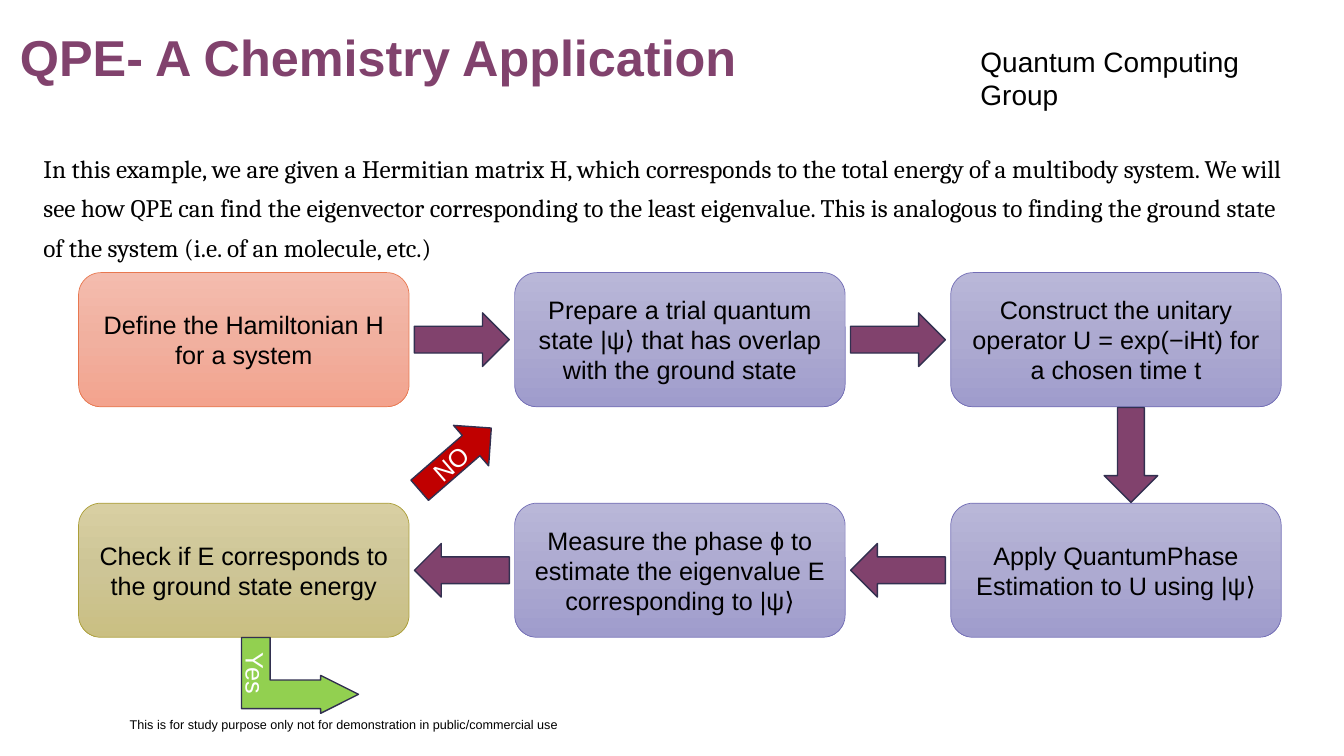
import copy
import pptx
import pptx.util
import pptx.dml.color
import pptx.enum.shapes
import pptx.enum.text
import pptx.oxml
import pptx.oxml.ns

Cm = pptx.util.Cm
Pt = pptx.util.Pt
SHAPE = pptx.enum.shapes.MSO_SHAPE
ALIGN = pptx.enum.text.PP_ALIGN
ANCHOR = pptx.enum.text.MSO_ANCHOR

TITLE = "QPE- A Chemistry Application"
INTRO = (
    "In this example, we are given a Hermitian matrix H, which corresponds to the total "
    "energy of a multibody system. We will see how QPE can find the eigenvector "
    "corresponding to the least eigenvalue. This is analogous to finding the ground state "
    "of the system (i.e. of an molecule, etc.)"
)
GROUP = "Quantum Computing Group"
DISCLAIMER = "This is for study purpose only not for demonstration in public/commercial use"

PLUM, NAVY, BLACK, WHITE = "81426D", "323050", "000000", "FFFFFF"
CORAL = (("F4BCAE", "F1B09F", "F3A38E"), "E87850")
VIOLET = (("B9B7D8", "ADAAD1", "9F9CCC"), "736EB6")
OLIVE = (("D8CFA2", "CDC596", "CABF82"), "AC9F39")

STEPS = [
    (0, 0, CORAL, "Define the Hamiltonian H for a system"),
    (1, 0, VIOLET, "Prepare a trial quantum state |ψ⟩ that has overlap with the ground state"),
    (2, 0, VIOLET, "Construct the unitary operator U = exp(−iHt) for a chosen time t"),
    (2, 1, VIOLET, "Apply QuantumPhase Estimation to U using |ψ⟩"),
    (1, 1, VIOLET, "Measure the phase ϕ to estimate the eigenvalue E corresponding to |ψ⟩"),
    (0, 1, OLIVE, "Check if E corresponds to the ground state energy"),
]

LEFT, COLUMN_PITCH = 1.98, 10.99
TOP, ROW_PITCH = 6.87, 5.81
STEP_WIDTH, STEP_HEIGHT = 8.33, 3.38
ARROW_WIDTH, ARROW_HEIGHT = 2.39, 1.35


def color(code):
    return pptx.dml.color.RGBColor.from_string(code)


def write(shape, text, size, ink=BLACK, font="Arial", bold=False,
          align=ALIGN.LEFT, anchor=ANCHOR.TOP):
    frame = shape.text_frame
    frame.word_wrap = True
    frame.auto_size = pptx.enum.text.MSO_AUTO_SIZE.NONE
    frame.vertical_anchor = anchor
    para = frame.paragraphs[0]
    para.alignment = align
    span = para.add_run()
    span.text = text
    span.font.size = Pt(size)
    span.font.name = font
    span.font.bold = bold
    span.font.color.rgb = color(ink)
    return para


def place(shape, left, top, width, height):
    shape.left, shape.top = Cm(left), Cm(top)
    shape.width, shape.height = Cm(width), Cm(height)


def add_outlined(page, kind, left, top, width, height, line, weight):
    shape = page.shapes.add_shape(kind, Cm(left), Cm(top), Cm(width), Cm(height))
    shape.shadow.inherit = False
    shape.line.color.rgb = color(line)
    shape.line.width = Pt(weight)
    return shape


def add_step(page, column, row, theme, text):
    tones, edge = theme
    box = add_outlined(page, SHAPE.ROUNDED_RECTANGLE, LEFT + column * COLUMN_PITCH,
                       TOP + row * ROW_PITCH, STEP_WIDTH, STEP_HEIGHT, edge, 0.5)
    box.fill.gradient()
    box.fill.gradient_angle = 270
    stop_list = box.element.spPr.find(".//" + pptx.oxml.ns.qn("a:gsLst"))
    stop_list.insert(1, copy.deepcopy(stop_list[0]))
    for stop, tone, position in zip(box.fill.gradient_stops, tones, (0, 0.5, 1)):
        stop.color.rgb = color(tone)
        stop.position = position
    write(box, text, 18, align=ALIGN.CENTER, anchor=ANCHOR.MIDDLE)


def add_arrow(page, center_x, center_y, rotation=0, fill=PLUM, text=None,
              kind=SHAPE.RIGHT_ARROW, width=ARROW_WIDTH, height=ARROW_HEIGHT):
    arrow = add_outlined(page, kind, center_x - width / 2, center_y - height / 2,
                         width, height, NAVY, 1)
    arrow.rotation = rotation
    arrow.fill.solid()
    arrow.fill.fore_color.rgb = color(fill)
    if text:
        write(arrow, text, 18, WHITE, align=ALIGN.CENTER, anchor=ANCHOR.MIDDLE)
    return arrow


def add_label(page, text, size, left, top, width, height, anchor=ANCHOR.TOP):
    label = page.shapes.add_textbox(Cm(left), Cm(top), Cm(width), Cm(height))
    write(label, text, size, anchor=anchor)


def main():
    deck = pptx.Presentation()
    deck.slide_width, deck.slide_height = Cm(33.87), Cm(19.05)
    page = deck.slides.add_slide(deck.slide_layouts[1])

    title = page.shapes.title
    place(title, 0.25, 0.76, 33.38, 2.59)
    write(title, TITLE, 36, PLUM, bold=True).line_spacing = 0.85

    body = page.placeholders[1]
    place(body, 0.84, 3.51, 32.21, 14.66)
    para = write(body, INTRO, 18, font="Cambria")
    para.line_spacing = 1.3
    para.space_before = Pt(10)
    settings = para._p.get_or_add_pPr()
    settings.set("marL", "0")
    settings.set("indent", "0")
    settings.append(pptx.oxml.parse_xml(
        "<a:buNone %s/>" % pptx.oxml.ns.nsdecls("a")))

    for step in STEPS:
        add_step(page, *step)

    for row, rotation in ((0, 0), (1, 180)):
        for column in (0, 1):
            add_arrow(page, LEFT + column * COLUMN_PITCH + (STEP_WIDTH + COLUMN_PITCH) / 2,
                      TOP + row * ROW_PITCH + STEP_HEIGHT / 2, rotation)
    add_arrow(page, 28.5, TOP + (STEP_HEIGHT + ROW_PITCH) / 2, 90)
    add_arrow(page, 11.48, 11.57, 319, "C00000", "NO")
    accept = add_arrow(page, 7.56, 17.02, 90, "92D050", "Yes",
                       SHAPE.BENT_UP_ARROW, 1.91, 2.95)
    for index, value in enumerate((0.378, 0.25, 0.5)):
        accept.adjustments[index] = value

    add_label(page, GROUP, 20, 24.46, 0.99, 8.59, 1.12)
    add_label(page, DISCLAIMER, 9, 3.02, 17.75, 12.32, 1.02, ANCHOR.MIDDLE)
    deck.save("out.pptx")


if __name__ == "__main__":
    main()
